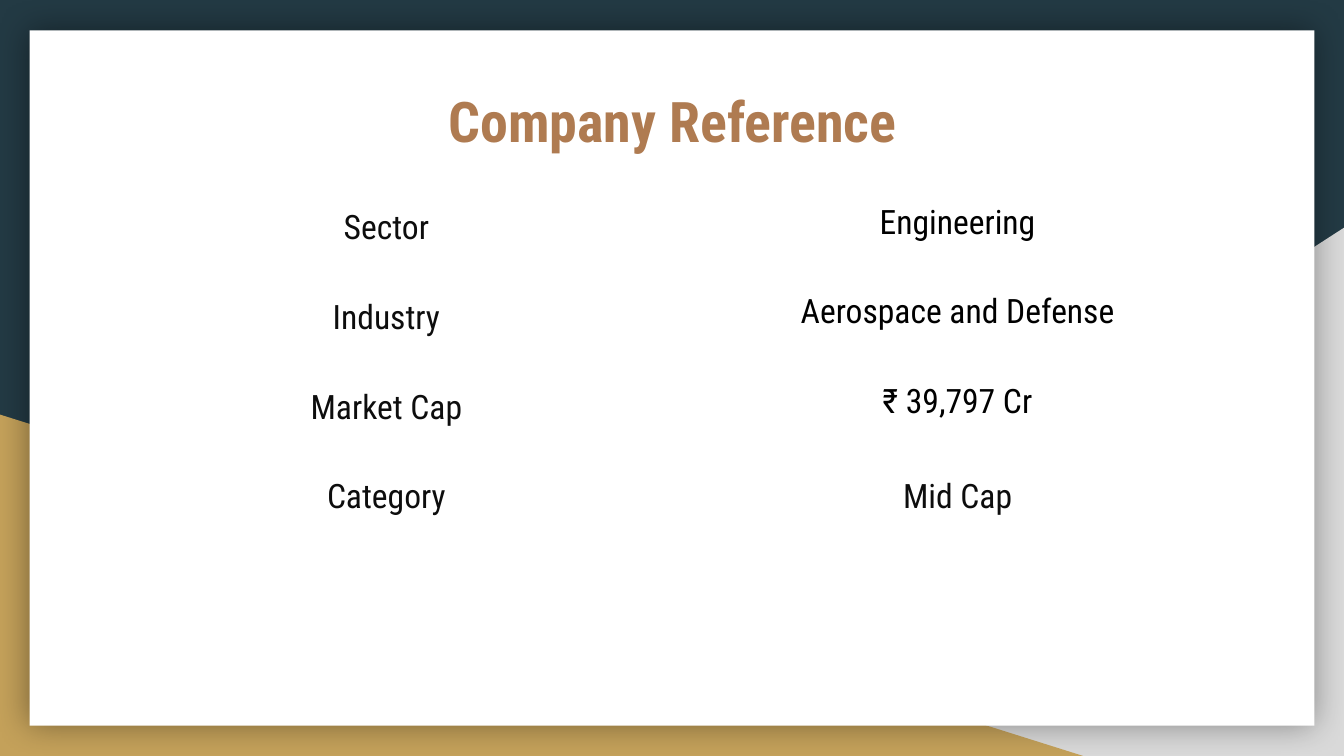
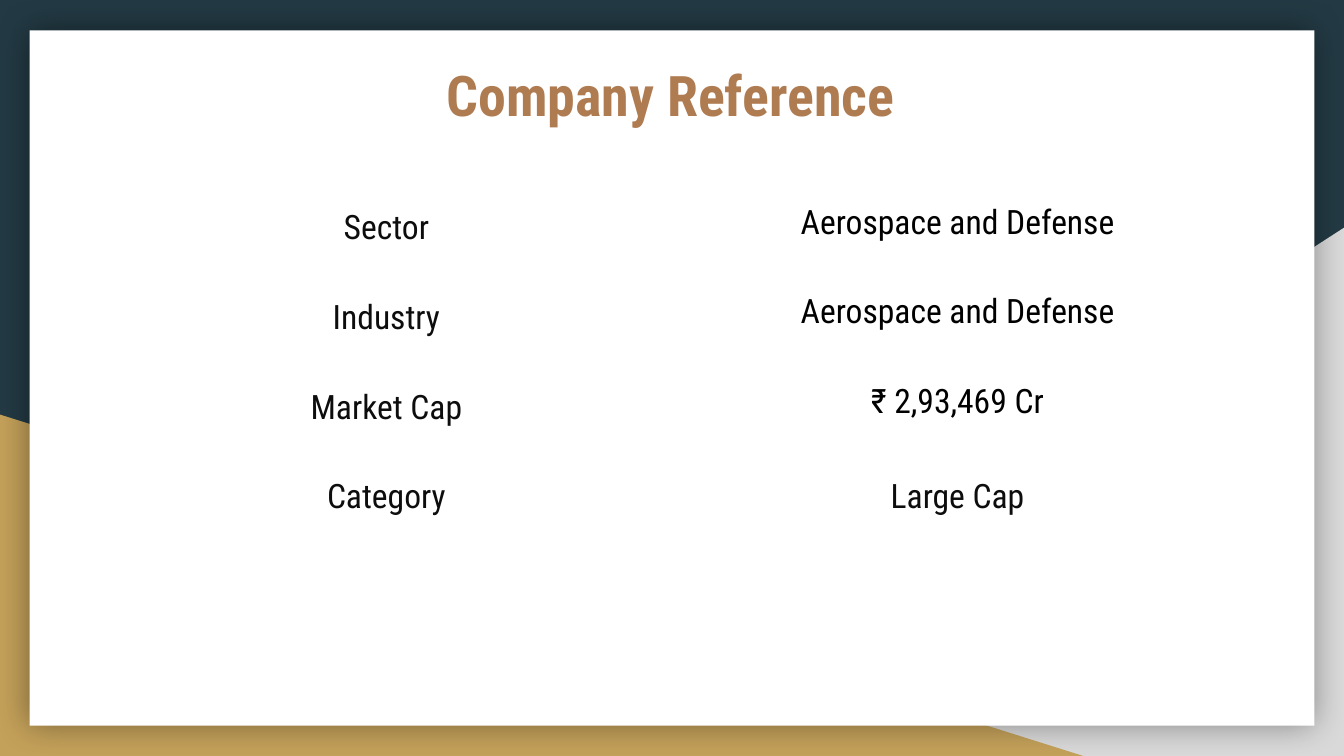
import pptx
import pptx.util
import pptx.dml.color
import pptx.enum.shapes
import pptx.enum.text
import pptx.oxml
import pptx.oxml.ns

COLORS = {
    "navy": "233A44", "grey": "D9D9D9", "gold": "C4A15A", "white": "FFFFFF",
    "title": "AF7B51", "label": "0D0D0D", "value": "000000",
}
FONT = "Roboto Condensed"
NS = pptx.oxml.ns.nsdecls("a")
SHAPE = pptx.enum.shapes.MSO_SHAPE
ANCHOR = pptx.enum.text.MSO_ANCHOR
Inches = pptx.util.Inches
W = 10
H = W * 9 / 16
COL_W, ROW_H = 4.25, 2 / 3
LABELS = ["Sector", "Industry", "Market Cap", "Category"]
SLIDES = [
    {"title_box": (0.39, H / 15, 9.23, 1.04), "anchor": ANCHOR.MIDDLE,
     "values": ["Engineering", "Aerospace and Defense", "₹ 39,797 Cr", "Mid Cap"],
     "rows": [ROW_H] * 4 + [0.11]},
    {"title_box": (0.44, 0.35, 9.1, 1.04), "anchor": ANCHOR.TOP,
     "values": ["Aerospace and Defense", "Aerospace and Defense", "₹ 2,93,469 Cr", "Large Cap"],
     "rows": [ROW_H] * 4},
]


def rgb(name):
    return pptx.dml.color.RGBColor.from_string(COLORS[name])


def write(tf, text, size, color, bold=False, spacing=1.0):
    p = tf.paragraphs[0]
    p.alignment = pptx.enum.text.PP_ALIGN.CENTER
    p.line_spacing = spacing
    r = p.add_run()
    r.text = text
    r.font.name = FONT
    r.font.size = pptx.util.Pt(size)
    r.font.bold = bold
    r.font.color.rgb = rgb(color)


prs = pptx.Presentation()
prs.slide_width, prs.slide_height = Inches(W), Inches(H)
fill = prs.slide_master.background.fill
fill.solid()
fill.fore_color.rgb = rgb("navy")

layout = prs.slide_layouts[5]
slides = [prs.slides.add_slide(layout) for _ in SLIDES]

backdrop = [
    (SHAPE.RIGHT_TRIANGLE, (W - 6.08, H - 3.93, 6.08, 3.93), "grey"),
    (SHAPE.RIGHT_TRIANGLE, (0, H - 2.54, 8.06, 2.54), "gold"),
    (SHAPE.RECTANGLE, (0.22, 0.04 * H, W - 0.44, 0.92 * H), "white"),
]
for i, (kind, box, color) in enumerate(backdrop):
    sp = slides[0].shapes.add_shape(kind, *[Inches(v) for v in box])
    sp.shadow.inherit = False
    sp.fill.solid()
    sp.fill.fore_color.rgb = rgb(color)
    sp.line.fill.background()
    if color == "grey":
        sp._element.spPr.xfrm.set("flipH", "1")
    if color == "white":
        effects = sp._element.spPr.find(pptx.oxml.ns.qn("a:effectLst"))
        effects.append(pptx.oxml.parse_xml(
            f'<a:outerShdw {NS} blurRad="{pptx.util.Pt(18)}" dist="0" dir="0" algn="ctr" rotWithShape="0">'
            f'<a:srgbClr val="{COLORS["value"]}"><a:alpha val="40000"/></a:srgbClr></a:outerShdw>'))
    layout.shapes._spTree.insert(2 + i, sp._element)

for s, data in zip(slides, SLIDES):
    title = s.shapes.title
    title.left, title.top, title.width, title.height = [Inches(v) for v in data["title_box"]]
    tf = title.text_frame
    tf.vertical_anchor = data["anchor"]
    tf.margin_left = tf.margin_right = tf.margin_top = tf.margin_bottom = Inches(0.1)
    write(tf, "Company Reference", 30, "title", bold=True)

    heights = data["rows"]
    table = s.shapes.add_table(len(heights), 2, Inches(0.75), Inches(1.41),
                               Inches(2 * COL_W), Inches(sum(heights))).table
    table.first_row = table.horz_banding = False
    for col in table.columns:
        col.width = Inches(COL_W)
    for row, height in zip(table.rows, heights):
        row.height = Inches(height)
    for cell in table.iter_cells():
        cell.margin_left = cell.margin_right = cell.margin_top = cell.margin_bottom = Inches(0.1)
        tcPr = cell._tc.get_or_add_tcPr()
        for side in ("lnL", "lnR", "lnT", "lnB"):
            tcPr.append(pptx.oxml.parse_xml(
                f'<a:{side} {NS} w="{pptx.util.Pt(3)}"><a:solidFill>'
                f'<a:srgbClr val="{COLORS["white"]}"/></a:solidFill></a:{side}>'))
        cell.fill.background()
    for i, (label, value) in enumerate(zip(LABELS, data["values"])):
        last = i == len(LABELS) - 1
        write(table.cell(i, 0).text_frame, label, 18, "label", spacing=1.15)
        write(table.cell(i, 1).text_frame, value, 18, "label" if last else "value",
              spacing=1.15 if last else 1.0)

prs.save("out.pptx")
